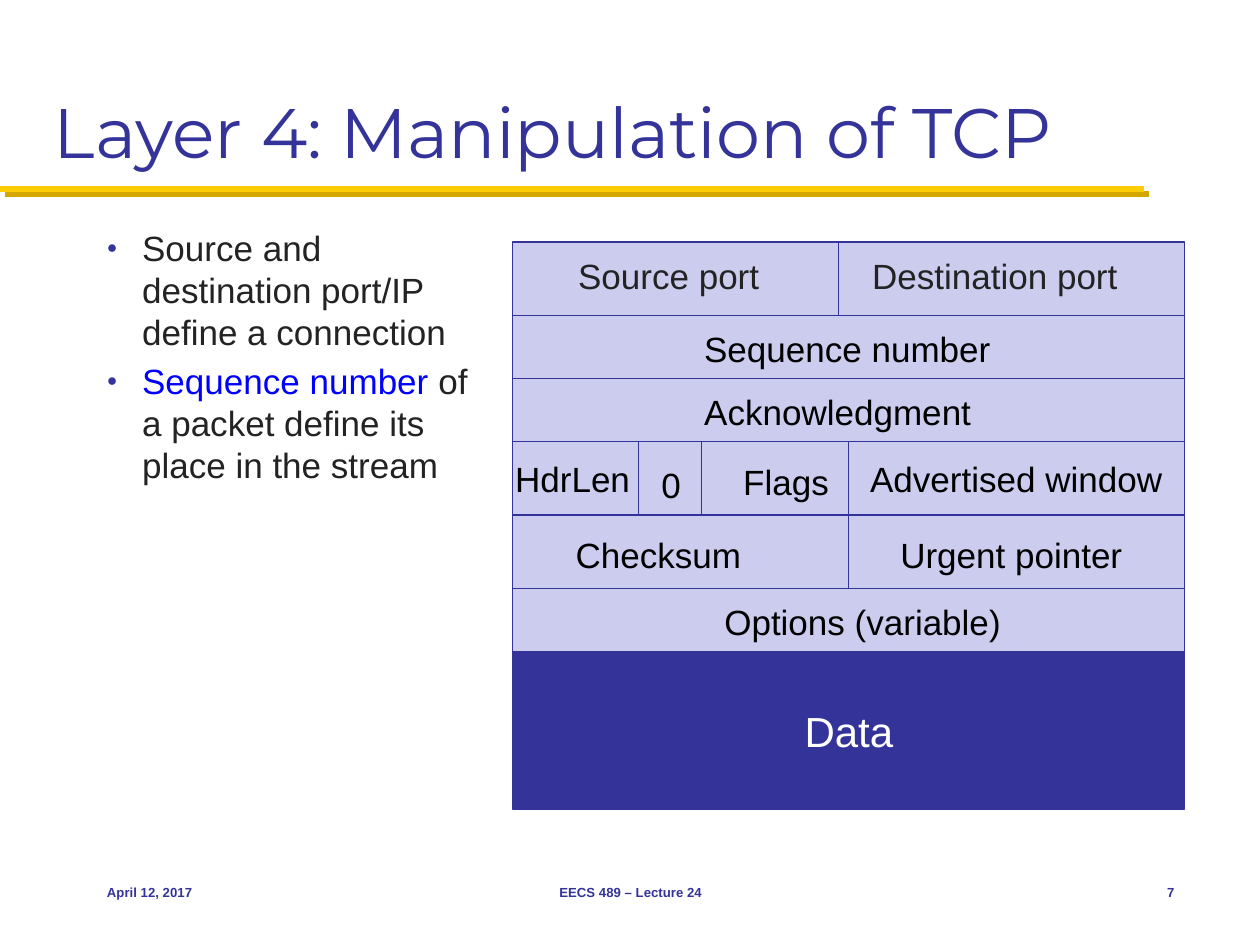
from lxml import etree
from pptx import Presentation
from pptx.dml.color import RGBColor
from pptx.enum import shapes, text
from pptx.oxml import ns
from pptx.util import Inches, Pt

NAVY = RGBColor(0x33, 0x33, 0x99)
LAVENDER = RGBColor(0xCC, 0xCC, 0xEE)
MAIZE = RGBColor(0xFF, 0xCB, 0x05)
CHARCOAL = RGBColor(0x23, 0x23, 0x23)
BLUE = RGBColor(0x00, 0x00, 0xFF)
BLACK = RGBColor(0x00, 0x00, 0x00)
WHITE = RGBColor(0xFF, 0xFF, 0xFF)
LEFT, CENTER, RIGHT = text.PP_ALIGN.LEFT, text.PP_ALIGN.CENTER, text.PP_ALIGN.RIGHT
TOP, MIDDLE, BOTTOM = (text.MSO_ANCHOR.TOP, text.MSO_ANCHOR.MIDDLE,
                       text.MSO_ANCHOR.BOTTOM)

# Content
TITLE = "Layer 4: Manipulation of TCP"
BULLETS = [
    [("Source and destination port/IP define a connection", CHARCOAL)],
    [("Sequence number", BLUE),
     (" of a packet define its place in the stream", CHARCOAL)],
]
FOOTERS = [  # text, left, width, alignment
    ("April 12, 2017", 0.75, 2.08, LEFT),
    ("EECS 489 – Lecture 24", 3.42, 3.17, CENTER),
    ("7", 8.75, 0.67, RIGHT),
]

# TCP header: one column per bit, row heights in twelfths of an inch
HEADER_LEFT, HEADER_TOP, BIT, STEP = 4.07, 1.92, 1 / 6, 1 / 12
ROWS = [  # height, bits of each cell
    (7, [15.5, 16.5]), (6, [32]), (6, [32]), (7, [16, 16]), (7, [16, 16]), (6, [32]),
]
DATA_HEIGHT = 15
FLAGS_ROW, DIVIDER_BITS = 3, [6, 9]
LABELS = [  # text, row, first bit, offset from that corner, width, colour
    ("Source port", 0, 0, (0.42, 0.05), 1.64, CHARCOAL),
    ("Destination port", 0, 15.5, (0.17, 0.05), 2.15, CHARCOAL),
    ("Sequence number", 1, 0, (1.42, 0.05), 2.47, BLACK),
    ("Acknowledgment", 2, 0, (1.42, 0.05), 2.32, BLACK),
    ("HdrLen", 3, 0, (-0.08, 0.08), 1.17, BLACK),
    ("0", 3, 6, (0.08, 0.13), 0.36, BLACK),
    ("Flags", 3, 9, (0.23, 0.1), 0.88, BLACK),
    ("Advertised window", 3, 16, (0.07, 0.08), 2.52, BLACK),
    ("Checksum", 4, 0, (0.4, 0.1), 1.51, BLACK),
    ("Urgent pointer", 4, 16, (0.31, 0.1), 1.96, BLACK),
    ("Options (variable)", 5, 0, (1.58, 0.05), 2.39, BLACK),
]


def format_runs(paragraph, size, color, font="Arial", bold=False):
    for run in paragraph.runs:
        run.font.name, run.font.size, run.font.bold = font, Pt(size), bold
        run.font.color.rgb = color


def add_text(slide, words, box, size, color, anchor=TOP, align=LEFT, **style):
    shape = slide.shapes.add_textbox(*map(Inches, box))
    frame = shape.text_frame
    frame.word_wrap, frame.vertical_anchor = True, anchor
    frame.text = words
    frame.paragraphs[0].alignment = align
    format_runs(frame.paragraphs[0], size, color, **style)
    return shape


def add_line(slide, start, end, color, width):
    line = slide.shapes.add_connector(shapes.MSO_CONNECTOR.STRAIGHT,
                                      *map(Inches, start + end))
    line.line.color.rgb, line.line.width = color, Pt(width)
    properties = line._element.spPr
    return etree.SubElement(properties, ns.qn("a:effectLst"))


def add_cell(slide, box, fill):
    shape = slide.shapes.add_shape(shapes.MSO_SHAPE.RECTANGLE, *map(Inches, box))
    shape.shadow.inherit = False
    shape.fill.solid()
    shape.fill.fore_color.rgb = fill
    shape.line.color.rgb, shape.line.width = NAVY, Pt(0.75)
    return shape


def add_bullet(paragraph):
    properties = paragraph._p.get_or_add_pPr()
    properties.set("marL", str(Inches(0.28)))
    properties.set("indent", str(Inches(-0.28)))
    color = etree.SubElement(properties, ns.qn("a:buClr"))
    etree.SubElement(color, ns.qn("a:srgbClr"), val=str(NAVY))
    etree.SubElement(properties, ns.qn("a:buSzPct"), val="50000")
    etree.SubElement(properties, ns.qn("a:buFont"), typeface="Arial")
    etree.SubElement(properties, ns.qn("a:buChar"), char="●")


def add_bullets(slide):
    shape = slide.shapes.add_textbox(*map(Inches, (0.75, 1.75, 3.14, 4.83)))
    frame = shape.text_frame
    frame.word_wrap = True
    for index, parts in enumerate(BULLETS):
        paragraph = frame.add_paragraph() if index else frame.paragraphs[0]
        add_bullet(paragraph)
        paragraph.space_before = Pt(4 if index else 0)
        for words, color in parts:
            run = paragraph.add_run()
            run.text = words
            run.font.name, run.font.size = "Arial", Pt(20)
            run.font.color.rgb = color


def add_header_diagram(slide):
    # Cells
    tops, top = [], HEADER_TOP
    for height, cells in ROWS:
        tops.append(top)
        left = HEADER_LEFT
        for bits in cells:
            add_cell(slide, (left, top, bits * BIT, height * STEP), LAVENDER)
            left += bits * BIT
        top += height * STEP
    # Field labels, with no right inset so that each stays on one line
    for words, row, bit, (right, down), width, color in LABELS:
        box = (HEADER_LEFT + bit * BIT + right, tops[row] + down, width, 0.43)
        label = add_text(slide, words, box, 20, color)
        label.text_frame.margin_right = 0
    # Dividers of the flags row
    for bit in DIVIDER_BITS:
        x = HEADER_LEFT + bit * BIT
        add_line(slide, (x, tops[FLAGS_ROW]), (x, tops[FLAGS_ROW + 1]), NAVY, 0.75)
    # Payload
    data = add_cell(slide, (HEADER_LEFT, top, 32 * BIT, DATA_HEIGHT * STEP), NAVY)
    data.text_frame.text = "Data"
    data.text_frame.vertical_anchor = MIDDLE
    data.text_frame.paragraphs[0].alignment = CENTER
    format_runs(data.text_frame.paragraphs[0], 24, WHITE)


def main():
    presentation = Presentation()
    presentation.slide_width, presentation.slide_height = Inches(10), Inches(7.5)
    slide = presentation.slides.add_slide(presentation.slide_layouts[6])

    # Title and its shadowed rule
    effects = add_line(slide, (0, 1.5), (9.08, 1.5), MAIZE, 3.5)
    shadow = etree.SubElement(effects, ns.qn("a:outerShdw"), dist=str(Pt(4.2)),
                              dir="2700000", algn="ctr", rotWithShape="0")
    etree.SubElement(shadow, ns.qn("a:srgbClr"), val="D3A600")
    add_text(slide, TITLE, (0.33, 0.17, 9.33, 1.25), 40, NAVY, BOTTOM, font="Montserrat")

    add_bullets(slide)
    for words, left, width, align in FOOTERS:
        add_text(slide, words, (left, 6.83, width, 0.5), 7.5, NAVY, MIDDLE, align, bold=True)
    add_header_diagram(slide)
    presentation.save("out.pptx")


if __name__ == "__main__":
    main()
